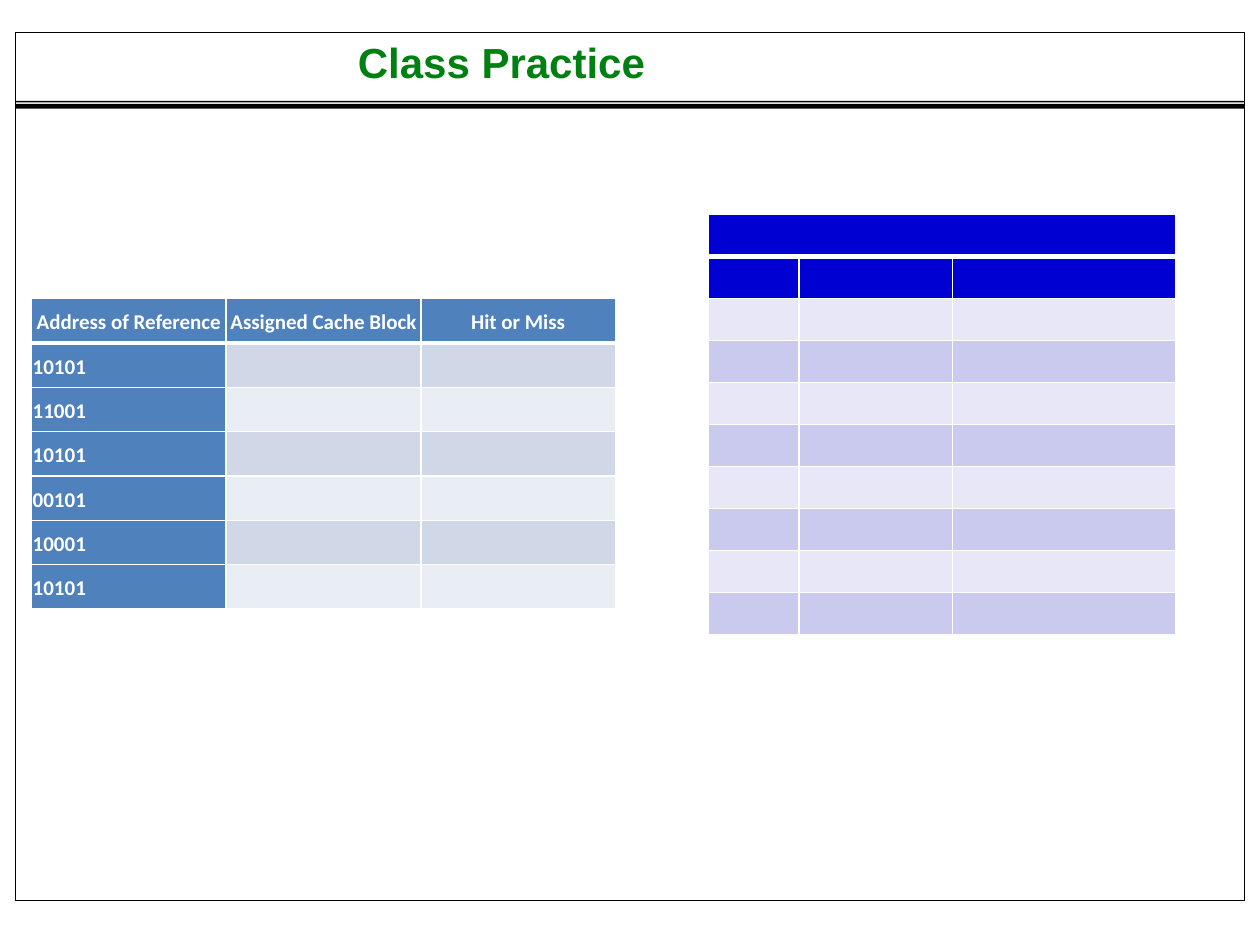
from lxml import etree
from pptx import Presentation
from pptx import util as u
from pptx.dml.color import RGBColor
from pptx.enum import text
from pptx.oxml.ns import qn

BLACK = RGBColor(0x00, 0x00, 0x00)
WHITE = RGBColor(0xFF, 0xFF, 0xFF)
GREEN = RGBColor(0x00, 0x80, 0x11)
STEEL = RGBColor(0x4F, 0x81, 0xBD)
STEEL_BANDS = (RGBColor(0xD0, 0xD8, 0xE8), RGBColor(0xE9, 0xED, 0xF4))
BLUE = RGBColor(0x00, 0x00, 0xD3)
LILAC_BANDS = (RGBColor(0xE7, 0xE7, 0xF7), RGBColor(0xCA, 0xCA, 0xEE))

HEADINGS = ("Address of Reference", "Assigned Cache Block", "Hit or Miss")
ADDRESSES = ("10101", "11001", "10101", "00101", "10001", "10101")
CACHE_BLOCKS = 8


def box(left, top, right, bottom):
    """Corner points of a rectangular contour, in inches."""
    return [(left, top), (right, top), (right, bottom), (left, bottom)]


class PracticeSlide:
    title_font = "Arial"
    table_font = "Calibri"

    def __init__(self, deck):
        self.slide = deck.slides.add_slide(deck.slide_layouts[5])

    def title(self, wording, left, top, width, height):
        title = self.slide.shapes.title
        title.left, title.top = u.Inches(left), u.Inches(top)
        title.width, title.height = u.Inches(width), u.Inches(height)
        frame = title.text_frame
        frame.text = wording
        frame.margin_left = frame.margin_right = 0
        frame.margin_top = frame.margin_bottom = 0
        frame.vertical_anchor = text.MSO_ANCHOR.BOTTOM
        frame.auto_size = text.MSO_AUTO_SIZE.SHAPE_TO_FIT_TEXT
        frame.paragraphs[0].alignment = text.PP_ALIGN.LEFT
        self.format_runs(frame.paragraphs[0], self.title_font, 24, GREEN)

    def format_runs(self, paragraph, name, size, color):
        for run in paragraph.runs:
            run.font.name = name
            run.font.size = u.Pt(size)
            run.font.bold = True
            run.font.color.rgb = color

    def outline(self, contours, fill=None, line=None, width=1, parent=None):
        """Draw contours as one freeform: closed when of three points or more."""
        owner = parent.shapes if parent else self.slide.shapes
        builder = None
        for contour in contours:
            start, *rest = [(u.Inches(x), u.Inches(y)) for x, y in contour]
            if builder is None:
                builder = owner.build_freeform(*start)
            else:
                builder.move_to(*start)
            builder.add_line_segments(rest, close=len(contour) > 2)
        shape = builder.convert_to_shape()
        shape.shadow.inherit = False
        if fill is None:
            shape.fill.background()
        else:
            shape.fill.solid()
            shape.fill.fore_color.rgb = fill
        if line is None:
            shape.line.fill.background()
        else:
            shape.line.color.rgb = line
            shape.line.width = u.Pt(width)

    def table(self, left, top, col_widths, row_height, row_count):
        table = self.slide.shapes.add_table(
            row_count, len(col_widths), u.Inches(left), u.Inches(top),
            u.Inches(sum(col_widths)), u.Inches(row_height * row_count)).table
        for column, width in zip(table.columns, col_widths):
            column.width = u.Inches(width)
        for row in table.rows:
            row.height = u.Inches(row_height)
        return table

    def cell(self, cell, fill, wording="", centred=False, top=1, bottom=1):
        """Style one cell; top and bottom are border widths in points."""
        cell.margin_left = cell.margin_right = u.Inches(0.01)
        cell.margin_top = cell.margin_bottom = u.Inches(0.01)
        cell.vertical_anchor = text.MSO_ANCHOR.MIDDLE
        self.borders(cell, lnL=1, lnR=1, lnT=top, lnB=bottom)
        cell.fill.solid()
        cell.fill.fore_color.rgb = fill
        if wording:
            paragraph = cell.text_frame.paragraphs[0]
            paragraph.text = wording
            paragraph.line_spacing = 1.15
            paragraph.space_after = u.Pt(8)
            if centred:
                paragraph.alignment = text.PP_ALIGN.CENTER
            self.format_runs(paragraph, self.table_font, 12, WHITE)

    def borders(self, cell, **widths):
        properties = cell._tc.get_or_add_tcPr()
        for side, points in widths.items():
            line = etree.SubElement(properties, qn(f"a:{side}"), w=str(u.Pt(points)))
            solid = etree.SubElement(line, qn("a:solidFill"))
            etree.SubElement(solid, qn("a:srgbClr"), val=str(WHITE))


def add_reference_table(page):
    table = page.table(0.25, 2.37, [4.635 / 3] * 3, 2.465 / 7, len(ADDRESSES) + 1)
    for col, heading in enumerate(HEADINGS):
        page.cell(table.cell(0, col), STEEL, heading, centred=True, bottom=3)
    for row, address in enumerate(ADDRESSES, start=1):
        top = 3 if row == 1 else 1
        page.cell(table.cell(row, 0), STEEL, address, top=top)
        for col in (1, 2):
            page.cell(table.cell(row, col), STEEL_BANDS[(row - 1) % 2], top=top)


def add_cache_grid(page):
    """Blank cache grid: caption and heading band, then one band per block."""
    left, first, second, right = 5.62, 6.34, 7.56, 9.33
    rows = [1.7 + i / 3 + 0.003 for i in range(CACHE_BLOCKS + 3)]
    top, heading, body, bottom = rows[0], rows[1], rows[2], rows[-1]
    grid = page.slide.shapes.add_group_shape()

    page.outline([box(left, top, right, body)], fill=BLUE, parent=grid)
    for block in range(CACHE_BLOCKS):
        upper, lower = rows[block + 2:block + 4]
        page.outline([box(left, upper, first, lower), box(first, upper, right, lower)],
                     fill=LILAC_BANDS[block % 2], parent=grid)

    dividers = [[(x, heading - 0.02), (x, bottom + 0.01)] for x in (first, second)]
    page.outline(dividers, line=WHITE, parent=grid)
    page.outline([[(left, heading), (right, heading)]], line=WHITE, width=3, parent=grid)
    levels = [[(left, y), (right, y)] for y in [top] + rows[2:]]
    sides = [[(x, top), (x, bottom + 0.01)] for x in (left, right)]
    page.outline(levels + sides, line=WHITE, parent=grid)


def main():
    deck = Presentation()
    deck.slide_width, deck.slide_height = u.Inches(10), u.Inches(7.5)
    page = PracticeSlide(deck)
    page.outline([box(0.12, 0.825, 9.875, 0.862), box(0.12, 0.8, 9.875, 0.812)],
                 fill=BLACK)
    page.outline([box(0.12, 0.26, 9.88, 7.15)], line=BLACK, width=0.48)
    page.title("Class Practice", 2.84, 0.29, 4.32, 0.4)
    add_reference_table(page)
    add_cache_grid(page)
    deck.save("out.pptx")


if __name__ == "__main__":
    main()
